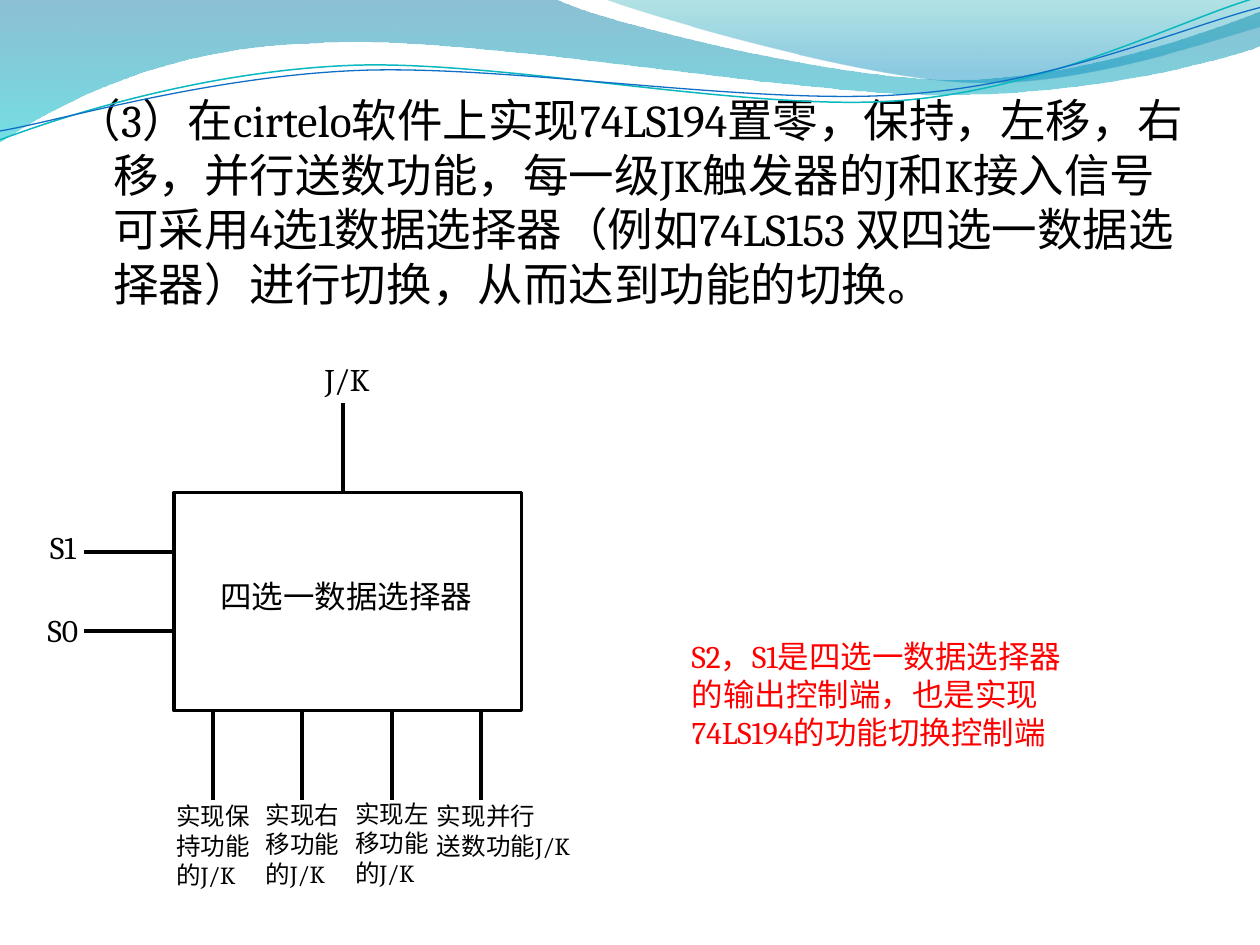
from lxml.etree import SubElement
from pptx import Presentation
from pptx.dml.color import RGBColor
from pptx.enum.shapes import MSO_CONNECTOR, MSO_SHAPE
from pptx.enum.text import MSO_AUTO_SIZE
from pptx.oxml.ns import qn
from pptx.util import Inches, Pt

COLORS = {
    "black": "000000", "white": "FFFFFF", "red": "FF0000",
    "deep_blue": "0074A1", "cyan": "00C6CF", "teal": "00A1A9", "sky": "008BBF",
    "teal_line": "0AB8BF", "blue_line": "0F6FC6",
}
RGB = {name: RGBColor.from_string(value) for name, value in COLORS.items()}

prs = Presentation()
prs.slide_width, prs.slide_height = Inches(10), Inches(7.5)
s = prs.slides.add_slide(prs.slide_layouts[1])
title = s.shapes.title._element
title.getparent().remove(title)


def add_text(text, at=None, tf=None, size=18, color="black", wrap=True):
    """Write text, one paragraph per line, into a frame or a new text box."""
    if tf is None:
        tf = s.shapes.add_textbox(*map(Inches, at)).text_frame
    tf.word_wrap = wrap
    tf.auto_size = MSO_AUTO_SIZE.NONE
    for i, line in enumerate(text.split("\n")):
        p = tf.paragraphs[0] if i == 0 else tf.add_paragraph()
        r = p.add_run()
        r.text = line
        r.font.name, r.font.size = "Cambria", Pt(size)
        r.font.color.rgb = RGB[color]
    return tf


def add_wave(start, parts, closed):
    """Draw an outline of points (2 numbers) and cubic curves (6 numbers)."""
    points = [(Inches(part[i]), Inches(part[i + 1]))
              for part in parts for i in range(0, len(part), 2)]
    builder = s.shapes.build_freeform(*map(Inches, start), scale=1.0)
    builder.add_line_segments(points, close=closed)
    sp = builder.convert_to_shape()
    sp.shadow.inherit = False
    segments = iter(list(sp._element.spPr.iter(qn("a:lnTo"))))
    for part in parts:
        segment = next(segments)
        if len(part) == 6:
            segment.tag = qn("a:cubicBezTo")
            for _ in range(2):
                extra = next(segments)
                segment.append(extra[0])
                extra.getparent().remove(extra)
    return sp


# Header bands: start, outline, stops of (position, colour, opacity %)
bands = [
    ((0, 0), [(4.4, -0.01), (4.76, 0.17, 6.64, 0.63, 7.58, 0.63),
              (8.53, 0.63, 9.58, 0.26, 10, 0.09), (10.01, 0.36),
              (9.83, 0.44, 8.7, 0.76, 7.46, 0.75),
              (6.22, 0.75, 3.82, 0.28, 2.57, 0.34),
              (1.29, 0.36, 0.46, 0.83, -0.01, 1.13)],
     [(0, "deep_blue", 45), (1, "cyan", 55)]),
    ((4.79, -0.01), [(5.09, 0.11, 6.82, 0.62, 7.69, 0.65),
                     (8.56, 0.69, 9.61, 0.32, 10, 0.21), (10, 0)],
     [(0, "teal", 30), (0.8, "sky", 45)]),
]
for start, parts, stops in bands:
    sp = add_wave(start, parts, closed=True)
    sp.line.fill.background()
    sp.fill.gradient()
    sp.fill.gradient_angle = 270
    for stop, (position, color, _) in zip(sp.fill.gradient_stops, stops):
        stop.position = position
        stop.color.rgb = RGB[color]
    for clr, (_, _, opacity) in zip(sp._element.spPr.iter(qn("a:srgbClr")), stops):
        SubElement(clr, qn("a:alpha")).set("val", str(opacity * 1000))

# Thin header waves
waves = [
    ((0, 1.11), [(0.48, 0.93, 1.58, 0.57, 2.77, 0.52),
                 (3.95, 0.47, 5.93, 0.89, 7.13, 0.8),
                 (8.33, 0.71, 9.38, 0.15, 9.98, -0.02)], "teal_line", 0.85),
    ((0, 1.04), [(0.47, 0.96, 1.64, 0.61, 2.83, 0.56),
                 (4.03, 0.51, 5.97, 0.84, 7.17, 0.75),
                 (8.36, 0.67, 9.41, 0.21, 10, 0.06)], "blue_line", 0.75),
]
for start, parts, color, width in waves:
    sp = add_wave(start, parts, closed=False)
    sp.fill.background()
    sp.line.color.rgb, sp.line.width = RGB[color], Pt(width)

# Task description
body = s.placeholders[1]
body.left, body.top, body.width, body.height = map(Inches, (0.5, 0.68, 9, 6.24))
tf = add_text("（3）在cirtelo软件上实现74LS194置零，保持，左移，右移，并行送数功能，"
              "每一级JK触发器的J和K接入信号可采用4选1数据选择器（例如74LS153 双四选一"
              "数据选择器）进行切换，从而达到功能的切换。", tf=body.text_frame, size=26)
pPr = tf.paragraphs[0]._p.get_or_add_pPr()
pPr.set("marL", str(Inches(0.3)))
pPr.set("indent", str(Inches(-0.3)))
SubElement(pPr, qn("a:buNone"))

# Selector box and its pins
left, top, width, height, pin = 1.38, 3.91, 2.76, 1.73, 0.71
bottom = top + height
box = s.shapes.add_shape(MSO_SHAPE.RECTANGLE, *map(Inches, (left, top, width, height)))
box.shadow.inherit = False
box.fill.solid()
box.fill.fore_color.rgb = RGB["white"]
box.line.color.rgb, box.line.width = RGB["black"], Pt(2)

pins = [(1.69 + i * pin, bottom, 1.69 + i * pin, bottom + pin) for i in range(4)]
pins += [(left - pin, y, left, y) for y in (4.38, 5.01)]
pins.append((2.72, top - pin, 2.72, top))
for ends in pins:
    line = s.shapes.add_connector(MSO_CONNECTOR.STRAIGHT, *map(Inches, ends))
    line.line.color.rgb, line.line.width = RGB["black"], Pt(2.25)
    SubElement(line._element.spPr, qn("a:effectLst"))

# Labels
add_text("四选一数据选择器", (1.65, 4.53, 2.2, 0.4))
add_text("S1", (0.3, 4.14, 0.94, 0.4))
add_text("S0", (0.28, 4.8, 0.94, 0.4))
add_text("J/K", (2.48, 2.81, 1.42, 0.4))
add_text("实现保\n持功能\n的J/K", (1.3, 6.31, 0.79, 0.81), size=14, wrap=False)
add_text("实现右\n移功能\n的J/K", (2.01, 6.3, 0.79, 0.81), size=14, wrap=False)
add_text("实现左移功能的J/K", (2.72, 6.29, 0.82, 0.81), size=14)
add_text("实现并行\n送数功能J/K", (3.37, 6.31, 1.26, 0.57), size=14)
add_text("S2，S1是四选一数据选择器的输出控制端，也是实现74LS194的功能切换控制端",
         (5.39, 5.01, 3.23, 1.01), color="red")

prs.save("out.pptx")
